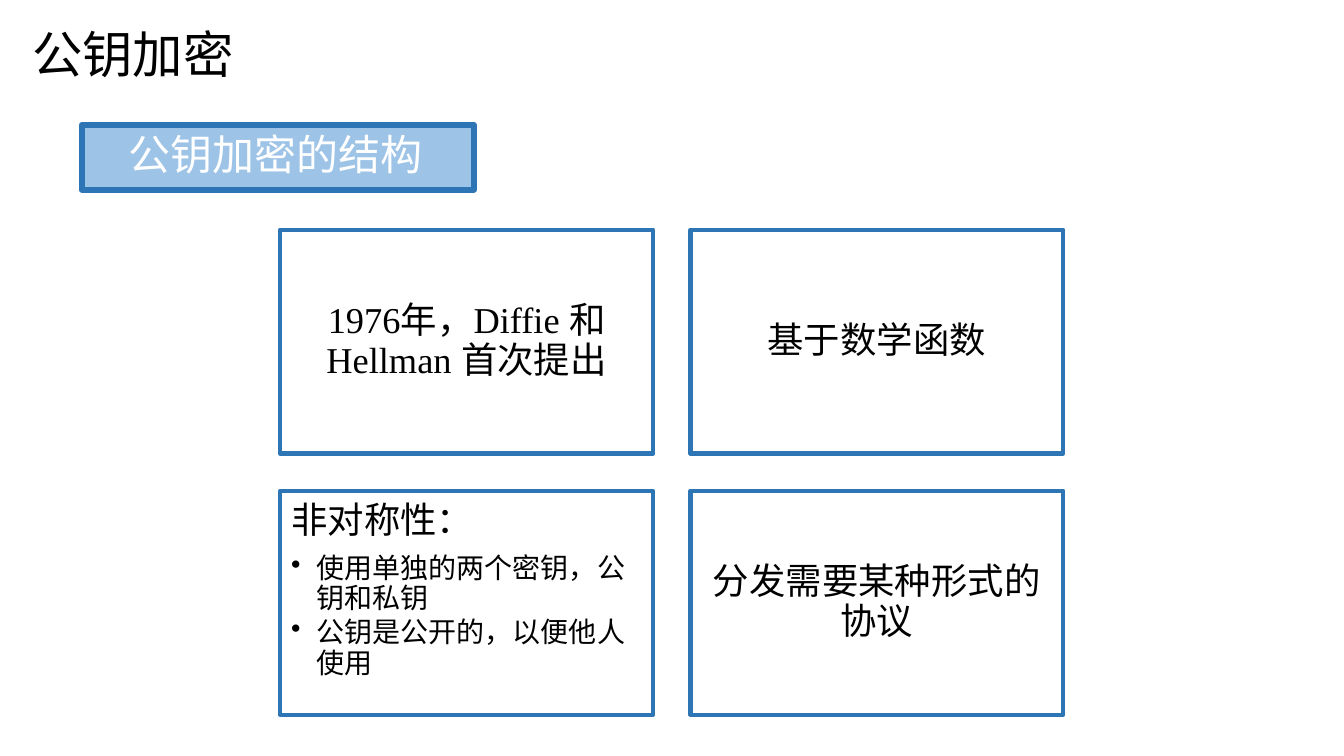
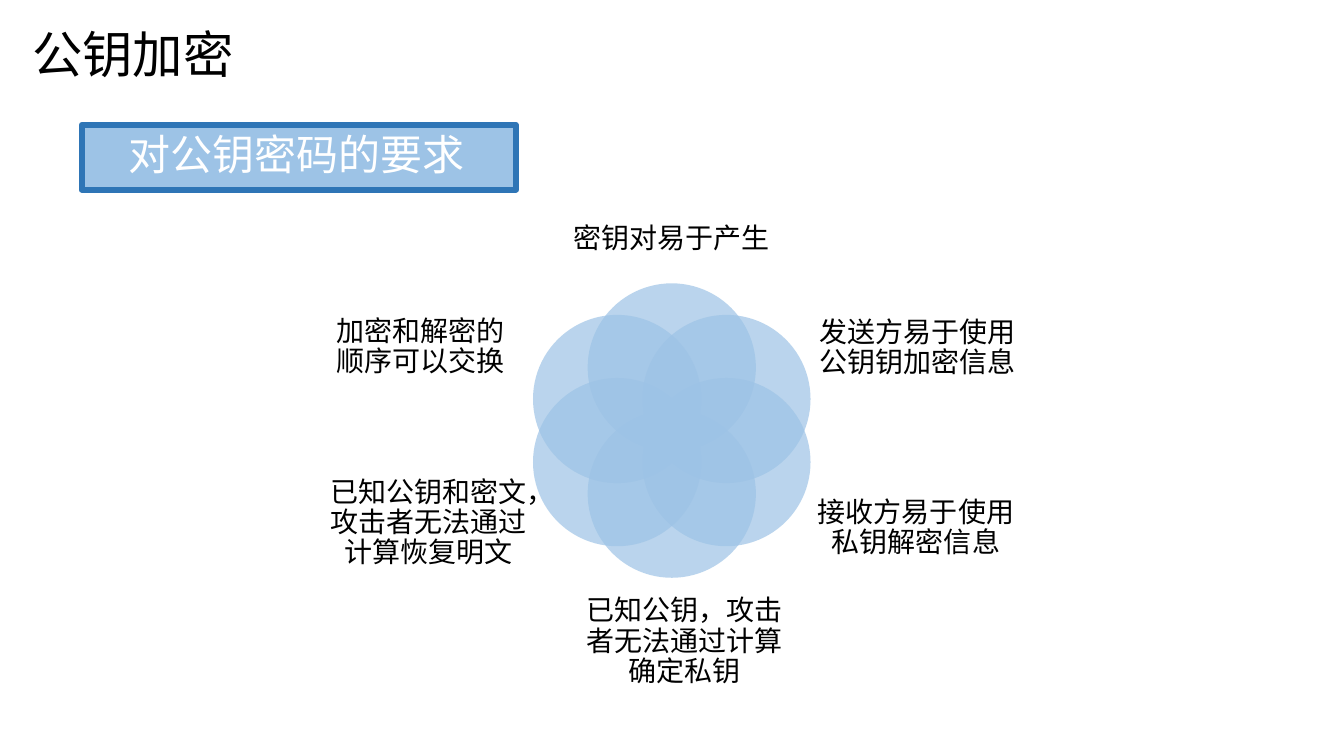
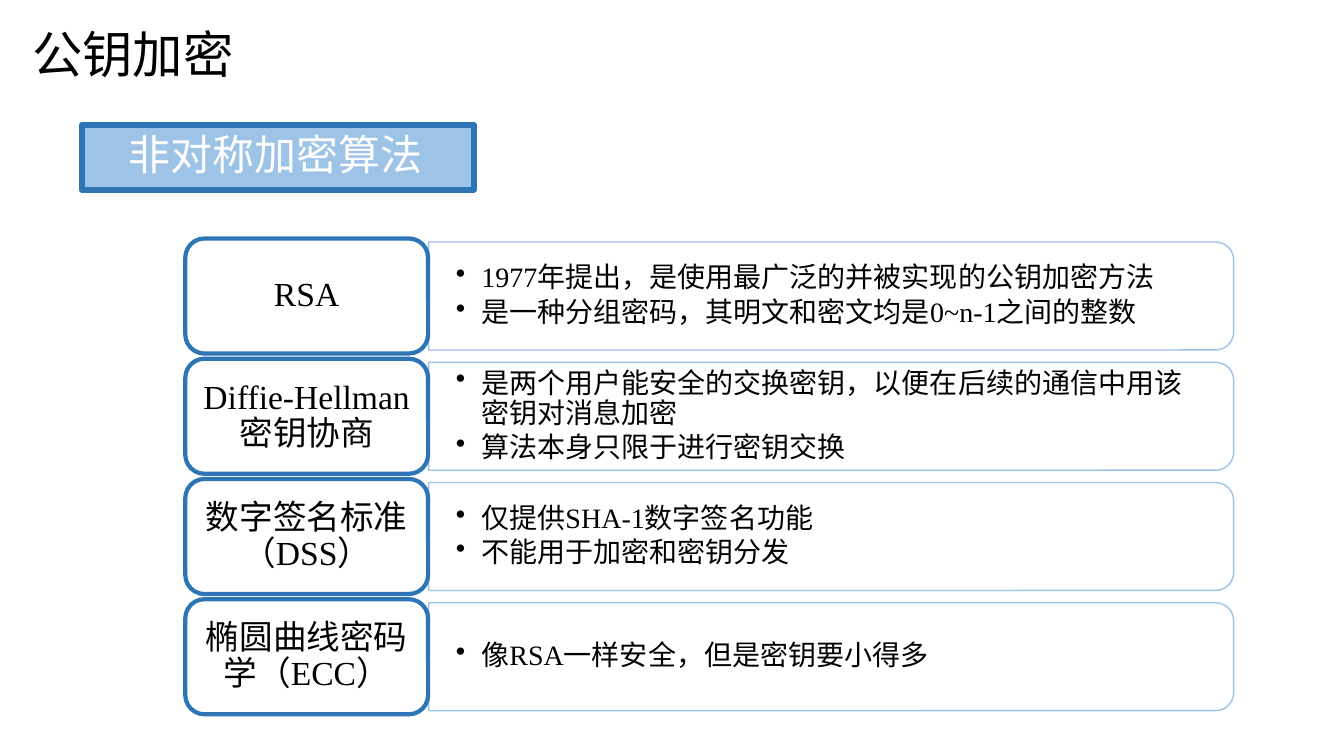
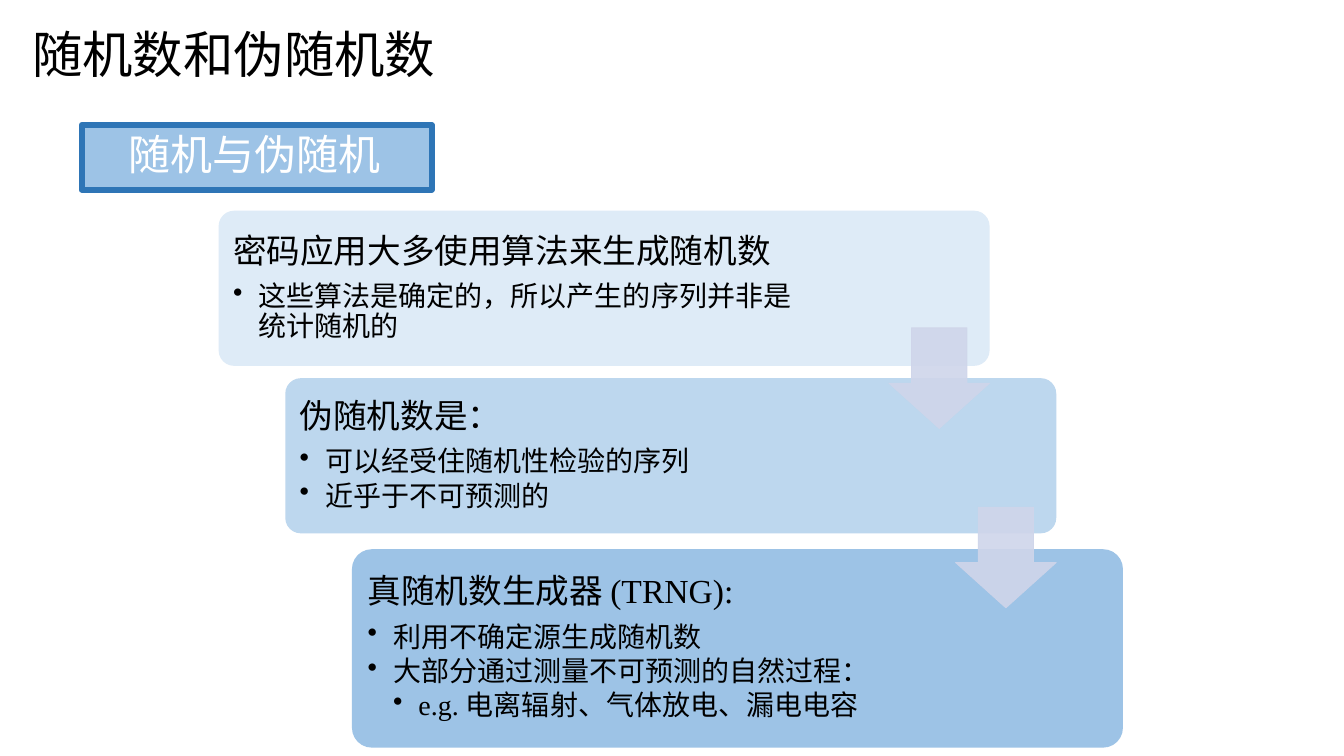
from math import cos, radians, sin

from lxml.etree import SubElement
from pptx import Presentation
from pptx.dml.color import RGBColor
from pptx.enum.shapes import MSO_SHAPE
from pptx.enum.text import MSO_ANCHOR, PP_ALIGN
from pptx.oxml.ns import qn
from pptx.util import Cm, Pt

THEME = {
    "black": "000000", "white": "FFFFFF",
    "blue": "9DC3E6", "dark blue": "2E75B6",
    "card 1": "DEEBF7", "card 2": "BDD7EE", "arrow": "CFD5EA",
    "title": 36, "band": 30, "box": 26, "card": 24, "body": 20,
    "latin": "Times New Roman", "chinese": "Noto Sans CJK SC",
}


def add_shape(slide, kind, place, fill=None, line=None, weight=0, opacity=100):
    """Add a preset shape; opacity, in percent, acts on the fill colour."""
    shape = slide.shapes.add_shape(kind, *map(Cm, place))
    shape.shadow.inherit = False
    if fill:
        shape.fill.solid()
        shape.fill.fore_color.rgb = RGBColor.from_string(THEME[fill])
    else:
        shape.fill.background()
    if line:
        shape.line.color.rgb = RGBColor.from_string(THEME[line])
        shape.line.width = Pt(weight)
    else:
        shape.line.fill.background()
    if opacity < 100:
        for color in shape._element.spPr.iter(qn("a:srgbClr")):
            if color.get("val") == THEME[fill]:
                SubElement(color, qn("a:alpha"), val=str(opacity * 1000))
    return shape


def write_text(shape, lines, size, insets, color="black", align=PP_ALIGN.LEFT,
               anchor=MSO_ANCHOR.MIDDLE, spacing=0.9):
    """Write (level, text) lines; levels above 0 are bullets in body size."""
    left, top, right, bottom = map(Cm, insets)
    frame_format = {
        "word_wrap": True, "vertical_anchor": anchor,
        "margin_left": left, "margin_top": top,
        "margin_right": right, "margin_bottom": bottom,
    }
    frame = shape.text_frame
    for name, value in frame_format.items():
        setattr(frame, name, value)
    for index, (level, text) in enumerate(lines):
        paragraph = frame.add_paragraph() if index else frame.paragraphs[0]
        points = THEME["body" if level else size]
        if level:
            properties = paragraph._p.get_or_add_pPr()
            properties.set("marL", str(Cm(0.64 * level)))
            properties.set("indent", str(-Cm(0.64)))
            SubElement(properties, qn("a:buChar"), char="•")
        paragraph_format = {
            "level": level, "alignment": align, "line_spacing": spacing,
            "space_after": Pt(points * (0.15 if level else 0.35)),
        }
        for name, value in paragraph_format.items():
            setattr(paragraph, name, value)
        run = paragraph.add_run()
        run.text = text
        has_latin = any(letter.isascii() for letter in text)
        run.font.name = THEME["latin" if has_latin else "chinese"]
        run.font.size = Pt(points)
        run.font.color.rgb = RGBColor.from_string(THEME[color])
        SubElement(run._r.get_or_add_rPr(), qn("a:ea"), typeface=THEME["chinese"])


presentation = Presentation()
presentation.slide_width = Cm(33.87)
presentation.slide_height = Cm(19.05)

# Title and band of every slide
headings = [
    ("公钥加密", "公钥加密的结构"),
    ("公钥加密", "对公钥密码的要求"),
    ("公钥加密", "非对称加密算法"),
    ("随机数和伪随机数", "随机与伪随机"),
]
slides = []
for title, topic in headings:
    slide = presentation.slides.add_slide(presentation.slide_layouts[6])
    slides.append(slide)
    title_box = slide.shapes.add_textbox(Cm(0.53), Cm(0), Cm(15), Cm(2.69))
    write_text(title_box, [(0, title)], "title", (0.28, 0.15, 0.28, 0.15), spacing=1.0)
    band_width = 1.06 * len(topic) + 2.46
    band = add_shape(slide, MSO_SHAPE.RECTANGLE, (2.06, 3.15, band_width, 1.63),
                     "blue", "dark blue", 4.33)
    write_text(band, [(0, topic)], "band", (1.19, 0, 1.19, 0), "white")

structure, requirements, algorithms, randomness = slides

# Structure: two by two boxes
boxes = [
    [(0, "1976年，Diffie 和 Hellman 首次提出")],
    [(0, "基于数学函数")],
    [(0, "非对称性："), (1, "使用单独的两个密钥，公钥和私钥"),
     (1, "公钥是公开的，以便他人使用")],
    [(0, "分发需要某种形式的协议")],
]
box_width, box_height, box_gap = 9.4, 5.64, 0.94
for index, lines in enumerate(boxes):
    row, column = divmod(index, 2)
    place = (7.06 + column * (box_width + box_gap),
             5.79 + row * (box_height + box_gap), box_width, box_height)
    box = add_shape(structure, MSO_SHAPE.RECTANGLE, place, line="dark blue", weight=3)
    is_list = len(lines) > 1
    write_text(box, lines, "box", (0.28, 0.28, 0.28, 0.28),
               align=PP_ALIGN.LEFT if is_list else PP_ALIGN.CENTER,
               anchor=MSO_ANCHOR.TOP if is_list else MSO_ANCHOR.MIDDLE)

# Requirements: ring of circles, clockwise from the top
requirement_labels = [
    ("密钥对易于产生", (14.27, 5.31, 5.31, 1.45)),
    ("发送方易于使用公钥钥加密信息", (20.6, 7.19, 5.03, 3.18)),
    ("接收方易于使用私钥解密信息", (20.57, 11.56, 5.03, 3.53)),
    ("已知公钥，攻击者无法通过计算确定私钥", (14.6, 14.73, 5.31, 2.9)),
    ("已知公钥和密文，攻击者无法通过计算恢复明文", (8.28, 11.43, 5.03, 3.53)),
    ("加密和解密的顺序可以交换", (8.2, 7.72, 4.8, 2.08)),
]
diameter, ring_radius = 4.24, 1.59
for index, (text, place) in enumerate(requirement_labels):
    angle = radians(360 / len(requirement_labels) * index)
    circle_left = 16.93 + ring_radius * sin(angle) - diameter / 2
    circle_top = 10.85 - ring_radius * cos(angle) - diameter / 2
    add_shape(requirements, MSO_SHAPE.OVAL,
              (circle_left, circle_top, diameter, diameter), "blue", opacity=70)
    label = requirements.shapes.add_textbox(*map(Cm, place))
    write_text(label, [(0, text)], "body", (0, 0, 0, 0), align=PP_ALIGN.CENTER)

# Algorithms: name on the left, details in a panel on the right
algorithm_rows = [
    ("RSA", ["1977年提出，是使用最广泛的并被实现的公钥加密方法",
             "是一种分组密码，其明文和密文均是0~n-1之间的整数"]),
    ("Diffie-Hellman密钥协商",
     ["是两个用户能安全的交换密钥，以便在后续的通信中用该密钥对消息加密",
      "算法本身只限于进行密钥交换"]),
    ("数字签名标准（DSS）", ["仅提供SHA-1数字签名功能", "不能用于加密和密钥分发"]),
    ("椭圆曲线密码学（ECC）", ["像RSA一样安全，但是密钥要小得多"]),
]
name_height, panel_left, panel_length, panel_depth = 2.9, 10.8, 20.29, 2.72
for index, (name, details) in enumerate(algorithm_rows):
    row_top = 6.01 + 3.03 * index
    middle = row_top + name_height / 2
    # The panel is drawn upright and turned about its centre
    panel = add_shape(algorithms, MSO_SHAPE.ROUND_2_SAME_RECTANGLE,
                      (panel_left + (panel_length - panel_depth) / 2,
                       middle - panel_length / 2, panel_depth, panel_length),
                      "white", "blue", 1, opacity=90)
    panel.rotation = 90
    detail_box = algorithms.shapes.add_textbox(
        Cm(panel_left), Cm(middle - 1.22), Cm(20.14), Cm(2.44))
    write_text(detail_box, [(1, detail) for detail in details], "body",
               (0.69, 0.36, 0.69, 0.36))
    name_box = add_shape(algorithms, MSO_SHAPE.ROUNDED_RECTANGLE,
                         (4.67, row_top, 6.12, name_height), "white", "dark blue", 3)
    write_text(name_box, [(0, name)], "card", (0.25, 0.13, 0.25, 0.13),
               align=PP_ALIGN.CENTER)

# Randomness: staggered cards, then the arrows over them
cards = [
    (5.31, 3.91, "card 1", [
        (0, "密码应用大多使用算法来生成随机数"),
        (1, "这些算法是确定的，所以产生的序列并非是统计随机的")]),
    (9.53, 3.91, "card 2", [
        (0, "伪随机数是："),
        (1, "可以经受住随机性检验的序列"),
        (1, "近乎于不可预测的")]),
    (13.84, 5, "blue", [
        (0, "真随机数生成器 (TRNG):"),
        (1, "利用不确定源生成随机数"),
        (1, "大部分通过测量不可预测的自然过程："),
        (2, "e.g. 电离辐射、气体放电、漏电电容")]),
]
card_left, card_step, card_width, arrow_size = 5.51, 1.68, 19.43, 2.54
for index, (top, height, fill, lines) in enumerate(cards):
    card = add_shape(randomness, MSO_SHAPE.ROUNDED_RECTANGLE,
                     (card_left + card_step * index, top, card_width, height), fill)
    card.adjustments[0] = 0.1
    write_text(card, lines, "card", (0.25, 0.25, 4.45, 0.25))

for index, top in enumerate([8.26, 12.78]):
    arrow_left = card_left + card_step * index + card_width - arrow_size
    arrow = add_shape(randomness, MSO_SHAPE.DOWN_ARROW,
                      (arrow_left, top, arrow_size, arrow_size),
                      "arrow", "arrow", 0.5, opacity=90)
    arrow.adjustments[0] = 0.55
    arrow.adjustments[1] = 0.45

presentation.save("out.pptx")
